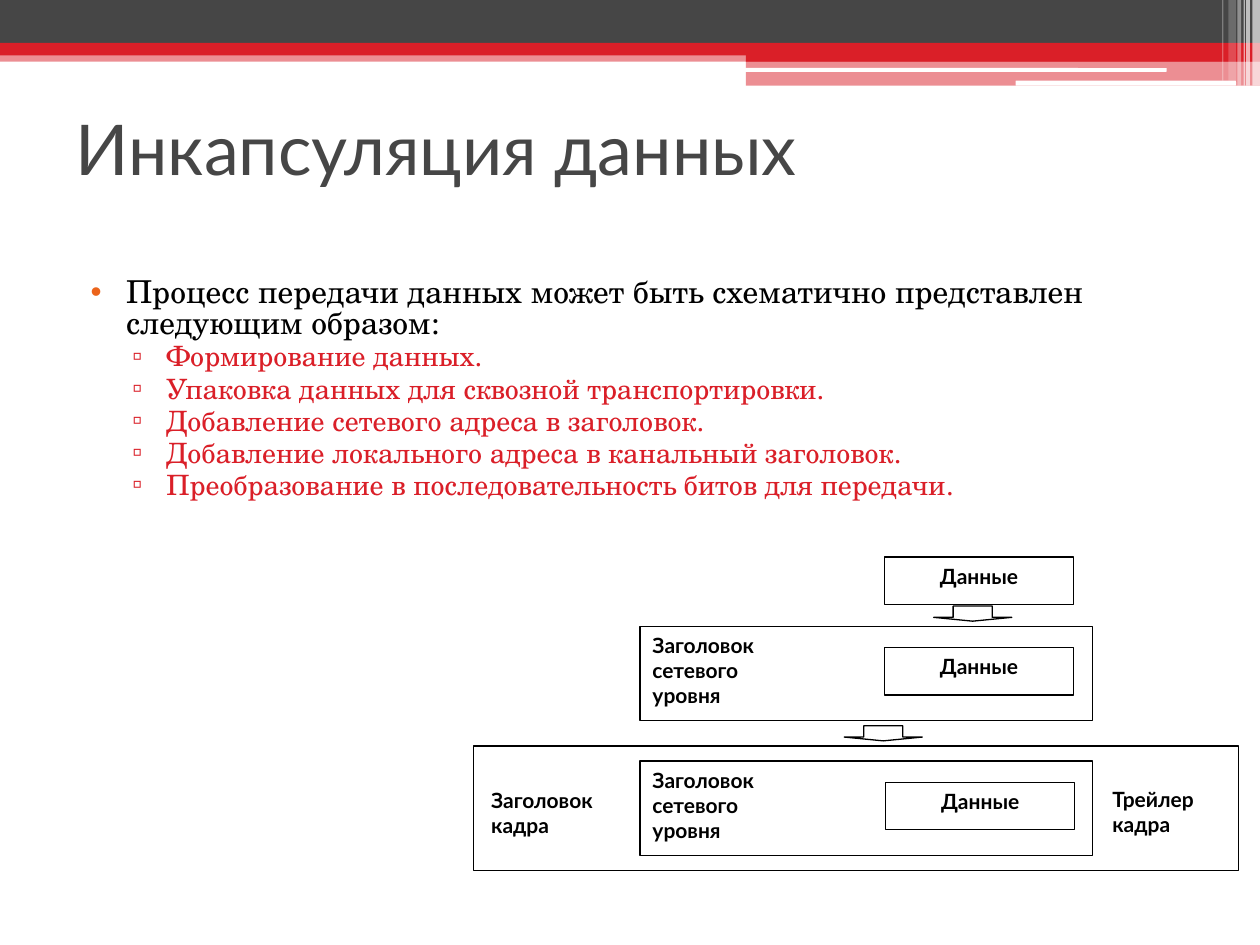
from dataclasses import dataclass

import pptx
import pptx.dml.color
import pptx.enum.shapes
import pptx.enum.text
import pptx.oxml.ns
import pptx.util
from lxml import etree
from pptx.util import Inches, Pt

SHAPE = pptx.enum.shapes.MSO_SHAPE
ALIGN = pptx.enum.text.PP_ALIGN
ANCHOR = pptx.enum.text.MSO_ANCHOR


@dataclass(frozen=True)
class Theme:
    red: str = "DA1F28"
    orange: str = "EB641B"
    grey: str = "464646"
    black: str = "000000"
    white: str = "FFFFFF"
    sans: str = "Lato"
    serif: str = "TeX Gyre Schola"
    title_size: float = 40
    lead_size: float = 18
    step_size: float = 16
    label_size: float = 12
    outline: float = 0.75


THEME = Theme()

# left, top, width, height, colour, opacity in percent
BANDS = [
    (0, 0.4, 10, 0.09, THEME.red, 50),
    (0, 0, 10, 0.34, THEME.grey, 100),
    (0, 0.34, 10, 0.1, THEME.red, 100),
    (5.92, 0.39, 4.08, 0.1, THEME.red, 100),
    (5.92, 0.48, 4.08, 0.2, THEME.red, 50),
]
HIGHLIGHTS = [(5.91, 0.54, 3.35, 0.03), (8.06, 0.64, 1.75, 0.04)]
# left, width, height, opacity in percent
STRIPES = [
    (9.94, 0.06, 0.68, 65),
    (9.89, 0.03, 0.68, 65),
    (9.87, 0.01, 0.68, 60),
    (9.82, 0.03, 0.68, 40),
    (9.75, 0.06, 0.64, 20),
    (9.7, 0.01, 0.64, 30),
]

LEAD = "Процесс передачи данных может быть схематично представлен следующим образом:"
STEPS = [
    "Формирование данных.",
    "Упаковка данных для сквозной транспортировки.",
    "Добавление сетевого адреса в заголовок.",
    "Добавление локального адреса в канальный заголовок.",
    "Преобразование в последовательность битов для передачи.",
]
NETWORK_HEADER = ["Заголовок", "сетевого", "уровня"]


def rgb(colour):
    return pptx.dml.color.RGBColor.from_string(colour)


def add_run(paragraph, text, size, font, colour, bold=False):
    run = paragraph.add_run()
    run.text = text
    run.font.size = Pt(size)
    run.font.name = font
    run.font.bold = bold
    run.font.color.rgb = rgb(colour)


def place(shape, left, top, width, height):
    shape.left, shape.top = Inches(left), Inches(top)
    shape.width, shape.height = Inches(width), Inches(height)


def add_block(shapes, kind, box, fill=None, opacity=100, outlined=False):
    block = shapes.add_shape(kind, *map(Inches, box))
    block.shadow.inherit = False
    if fill:
        block.fill.solid()
        block.fill.fore_color.rgb = rgb(fill)
        if opacity < 100:
            colour = block.fill._xPr.find(".//" + pptx.oxml.ns.qn("a:srgbClr"))
            etree.SubElement(colour, pptx.oxml.ns.qn("a:alpha"), val=str(opacity * 1000))
    else:
        block.fill.background()
    if outlined:
        block.line.color.rgb = rgb(THEME.black)
        block.line.width = Pt(THEME.outline)
    else:
        block.line.fill.background()
    return block


def write_label(shape, lines, align=ALIGN.LEFT):
    frame = shape.text_frame
    frame.word_wrap = True
    frame.vertical_anchor = ANCHOR.TOP
    for number, line in enumerate(lines):
        paragraph = frame.add_paragraph() if number else frame.paragraphs[0]
        paragraph.alignment = align
        add_run(paragraph, line, THEME.label_size, THEME.sans, THEME.black, bold=True)


def add_header_decoration(shapes):
    for *box, colour, opacity in BANDS:
        add_block(shapes, SHAPE.RECTANGLE, box, colour, opacity)
    for box in HIGHLIGHTS:
        add_block(shapes, SHAPE.ROUNDED_RECTANGLE, box, THEME.white)
    for left, width, height, opacity in STRIPES:
        add_block(shapes, SHAPE.RECTANGLE, (left, 0, width, height), THEME.white, opacity)


def fill_title(title):
    place(title, 0.5, 0.42, 9, 1.5)
    frame = title.text_frame
    frame.auto_size = pptx.enum.text.MSO_AUTO_SIZE.NONE
    frame.vertical_anchor = ANCHOR.MIDDLE
    paragraph = frame.paragraphs[0]
    paragraph.alignment = ALIGN.LEFT
    add_run(paragraph, "Инкапсуляция данных", THEME.title_size, THEME.sans, THEME.grey)


def set_bullet(paragraph, char, colour, margin, indent):
    properties = paragraph._p.get_or_add_pPr()
    properties.set("marL", str(Inches(margin)))
    properties.set("indent", str(Inches(indent)))
    bullet_colour = etree.SubElement(properties, pptx.oxml.ns.qn("a:buClr"))
    etree.SubElement(bullet_colour, pptx.oxml.ns.qn("a:srgbClr"), val=colour)
    etree.SubElement(properties, pptx.oxml.ns.qn("a:buChar"), char=char)


def format_list_item(paragraph):
    paragraph.line_spacing = 0.8
    paragraph.space_before = Pt(3)


def fill_body(body):
    place(body, 0.5, 2.17, 8.92, 2.08)
    frame = body.text_frame
    frame.auto_size = pptx.enum.text.MSO_AUTO_SIZE.NONE
    lead = frame.paragraphs[0]
    format_list_item(lead)
    set_bullet(lead, "•", THEME.orange, 0.4, -0.28)
    add_run(lead, LEAD, THEME.lead_size, THEME.serif, THEME.black)
    for text in STEPS:
        step = frame.add_paragraph()
        step.level = 1
        format_list_item(step)
        set_bullet(step, "▫", THEME.red, 0.72, -0.27)
        add_run(step, text, THEME.step_size, THEME.serif, THEME.red)


def add_data(shapes, left, top):
    data = add_block(shapes, SHAPE.RECTANGLE, (left, top, 1.5, 0.375), outlined=True)
    write_label(data, ["Данные"], ALIGN.CENTER)


def add_packet(shapes, top, data_left):
    """Network-level header with the data nested inside it."""
    packet = add_block(shapes, SHAPE.RECTANGLE, (5.08, top, 3.59, 0.75), outlined=True)
    write_label(packet, NETWORK_HEADER)
    add_data(shapes, data_left, top + 0.17)


def add_frame_label(shapes, box, lines):
    label = shapes.add_textbox(*map(Inches, box))
    label.text_frame.margin_top = Inches(0.25)
    write_label(label, lines)


def add_encapsulation_diagram(shapes):
    add_data(shapes, 7.02, 4.42)
    add_packet(shapes, 4.97, 7.02)
    add_block(shapes, SHAPE.RECTANGLE, (3.76, 5.92, 6.07, 0.99), outlined=True)
    for left, top in [(7.41, 4.81), (6.7, 5.76)]:
        arrow = add_block(shapes, SHAPE.DOWN_ARROW, (left, top, 0.62, 0.12),
                          THEME.white, outlined=True)
        arrow.adjustments[0], arrow.adjustments[1] = 0.5, 0.25
    add_frame_label(shapes, (3.8, 6, 1.19, 0.83), ["Заголовок", "кадра"])
    add_packet(shapes, 6.04, 7.03)
    add_frame_label(shapes, (8.73, 5.99, 0.95, 0.83), ["Трейлер", "кадра"])


def main():
    deck = pptx.Presentation()
    deck.slide_width, deck.slide_height = Inches(10), Inches(7.5)
    slide = deck.slides.add_slide(deck.slide_layouts[1])
    add_header_decoration(slide.shapes)
    fill_title(slide.shapes.title)
    fill_body(slide.placeholders[1])
    add_encapsulation_diagram(slide.shapes.add_group_shape().shapes)
    deck.save("out.pptx")


if __name__ == "__main__":
    main()
